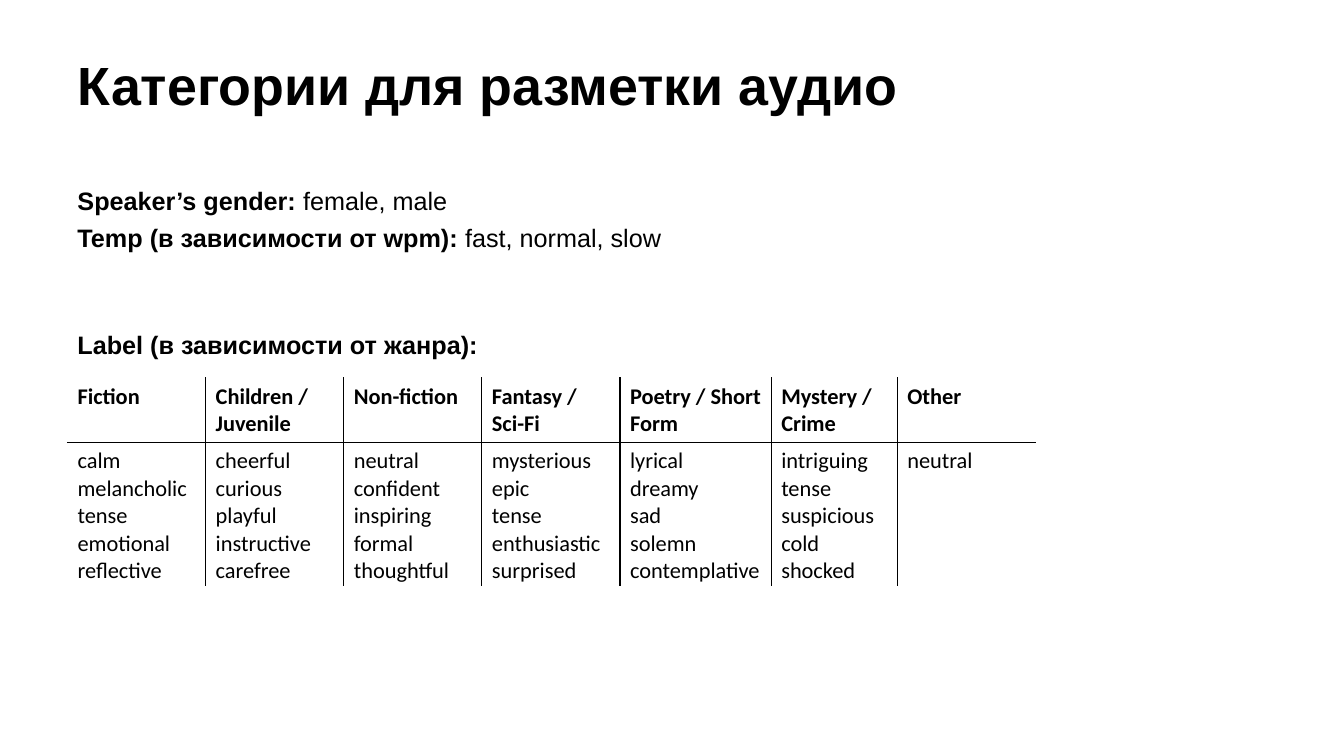
"""Build the slide listing the categories used for audio labelling."""
from lxml import etree
from pptx import Presentation, util as u
from pptx.dml.color import RGBColor
from pptx.enum import text
from pptx.oxml.ns import qn

COLORS = {"ink": "000000"}
TITLE = "Категории для разметки аудио"
FACTS = [
    ("Speaker’s gender: ", "female, male", 0),
    ("Temp (в зависимости от wpm): ", "fast, normal, slow", 4.6),
    ("Label (в зависимости от жанра):", "", 55),
]
GENRES = [
    ("Fiction", 1.37, ["calm", "melancholic", "tense", "emotional", "reflective"]),
    ("Children / Juvenile", 1.37, ["cheerful", "curious", "playful", "instructive", "carefree"]),
    ("Non-fiction", 1.37, ["neutral", "confident", "inspiring", "formal", "thoughtful"]),
    ("Fantasy / Sci-Fi", 1.37, ["mysterious", "epic", "tense", "enthusiastic", "surprised"]),
    ("Poetry / Short Form", 1.5, ["lyrical", "dreamy", "sad", "solemn", "contemplative"]),
    ("Mystery / Crime", 1.25, ["intriguing", "tense", "suspicious", "cold", "shocked"]),
    ("Other", 1.37, ["neutral"]),
]
ROW_HEIGHTS = [0.64, 1.43]
LEFT = u.Inches(0.67)


def write(paragraph, words, size=18, font="Arial", bold=False):
    """Add a formatted run to a paragraph."""
    run = paragraph.add_run()
    run.text = words
    run.font.size = u.Pt(size)
    run.font.name = font
    run.font.bold = bold
    run.font.color.rgb = RGBColor.from_string(COLORS["ink"])


def rule(cell, sides):
    """Draw thin lines along the given sides of a cell."""
    properties = cell._tc.get_or_add_tcPr()
    for side in sides:
        line = etree.SubElement(properties, qn(f"a:ln{side}"), w=str(u.Pt(1)))
        fill = etree.SubElement(line, qn("a:solidFill"))
        etree.SubElement(fill, qn("a:srgbClr"), val=COLORS["ink"])


def add_title(slide):
    """Place the slide title."""
    title = slide.shapes.title
    title.left, title.top = LEFT, u.Inches(0.45)
    title.width, title.height = u.Inches(9.95), u.Inches(0.77)
    frame = title.text_frame
    frame.auto_size = text.MSO_AUTO_SIZE.NONE
    frame.vertical_anchor = text.MSO_ANCHOR.MIDDLE
    frame.paragraphs[0].alignment = text.PP_ALIGN.LEFT
    write(frame.paragraphs[0], TITLE, size=38.4, bold=True)


def add_facts(slide):
    """Place the category names with their values."""
    facts = slide.shapes.add_textbox(LEFT, u.Inches(1.79), u.Inches(10.89), u.Inches(1.9))
    frame = facts.text_frame
    frame.word_wrap = True
    for index, (name, values, gap) in enumerate(FACTS):
        paragraph = frame.add_paragraph() if index else frame.paragraphs[0]
        if gap:
            paragraph.space_before = u.Pt(gap)
        write(paragraph, name, bold=True)
        if values:
            write(paragraph, values)


def add_genres(slide):
    """Place the table of labels by genre."""
    width = sum(genre[1] for genre in GENRES)
    genres = slide.shapes.add_table(
        len(ROW_HEIGHTS), len(GENRES), LEFT, u.Inches(3.75),
        u.Inches(width), u.Inches(sum(ROW_HEIGHTS))).table
    genres.first_row = genres.horz_banding = False
    for row, height in zip(genres.rows, ROW_HEIGHTS):
        row.height = u.Inches(height)
    for column, (genre, column_width, labels) in enumerate(GENRES):
        genres.columns[column].width = u.Inches(column_width)
        for row, lines in enumerate([[genre], labels]):
            cell = genres.cell(row, column)
            sides = ["L"] if column else []
            if column < len(GENRES) - 1:
                sides.append("R")
            sides.append("T" if row else "B")
            rule(cell, sides)
            cell.fill.background()
            for index, line in enumerate(lines):
                frame = cell.text_frame
                paragraph = frame.add_paragraph() if index else frame.paragraphs[0]
                write(paragraph, line, size=16, font="Calibri", bold=row == 0)


def main():
    """Create and save the presentation."""
    deck = Presentation()
    deck.slide_width, deck.slide_height = u.Inches(13.33), u.Inches(7.5)
    slide = deck.slides.add_slide(deck.slide_layouts[5])
    add_title(slide)
    add_facts(slide)
    add_genres(slide)
    deck.save("out.pptx")


if __name__ == "__main__":
    main()
